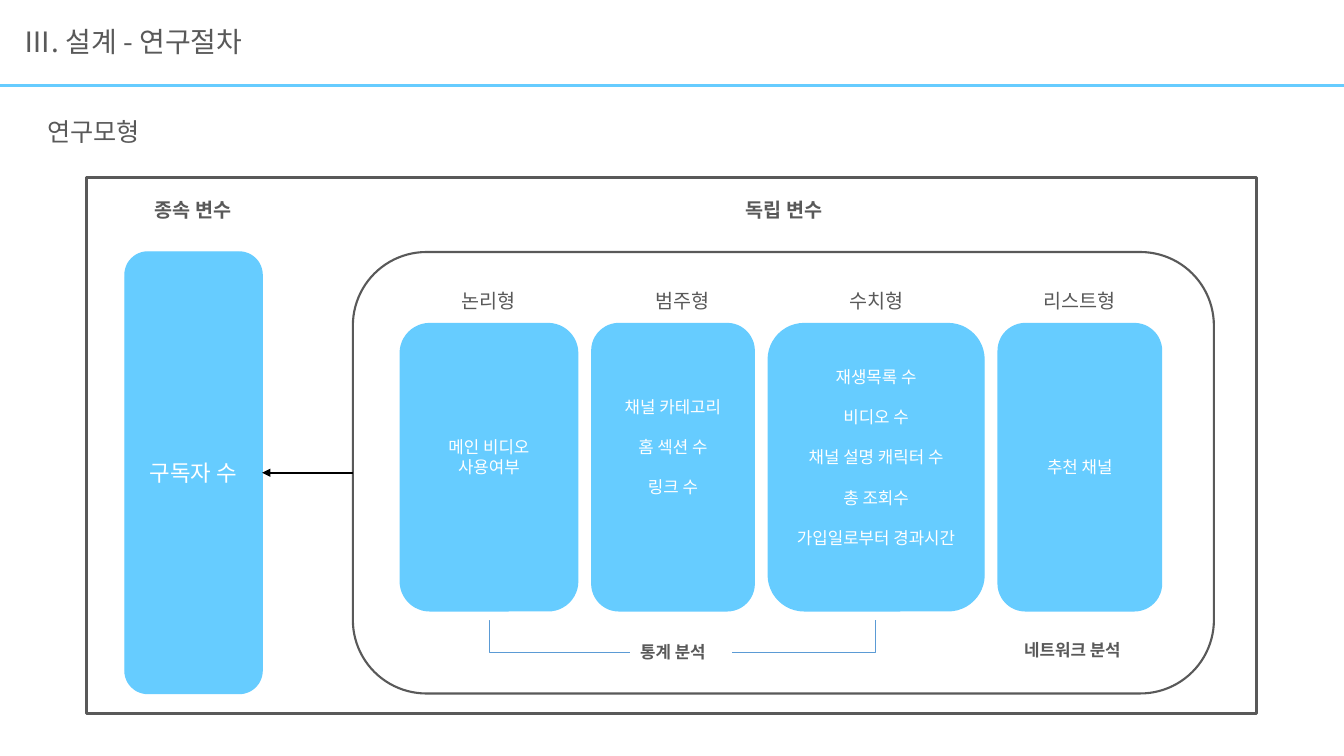
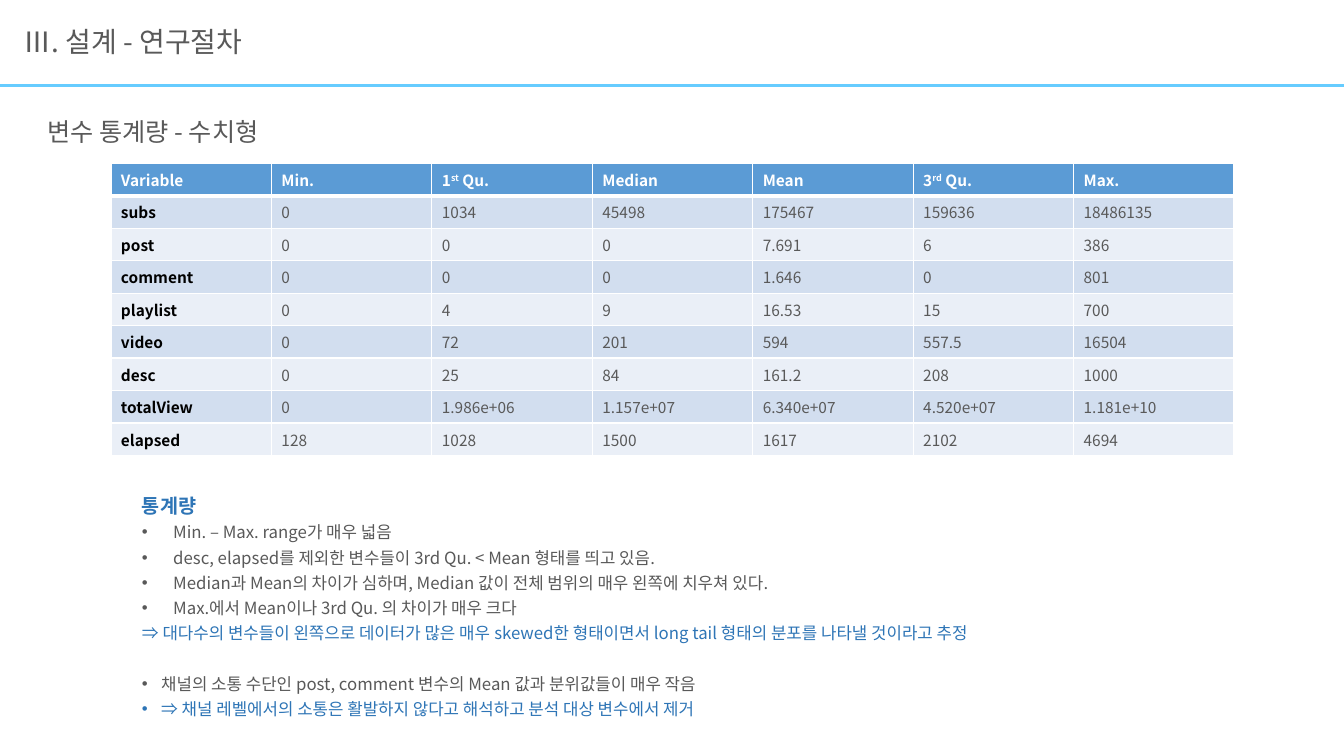
from lxml import etree
from pptx import Presentation
from pptx.dml.color import RGBColor
from pptx.enum.shapes import MSO_CONNECTOR, MSO_SHAPE
from pptx.enum.text import MSO_ANCHOR, PP_ALIGN
from pptx.oxml.ns import qn
from pptx.util import Inches, Pt

LEFT, CENTER = PP_ALIGN.LEFT, PP_ALIGN.CENTER
TOP, MIDDLE = MSO_ANCHOR.TOP, MSO_ANCHOR.MIDDLE
RECT, ROUND = MSO_SHAPE.RECTANGLE, MSO_SHAPE.ROUNDED_RECTANGLE
STRAIGHT, ELBOW = MSO_CONNECTOR.STRAIGHT, MSO_CONNECTOR.ELBOW

FONT = "Noto Sans CJK KR"
GRAY = RGBColor(0x59, 0x59, 0x59)
SKY = RGBColor(0x66, 0xCC, 0xFF)
BLUE = RGBColor(0x5B, 0x9B, 0xD5)
NAVY = RGBColor(0x2E, 0x75, 0xB6)
DARK = RGBColor(0xD2, 0xDE, 0xEF)
PALE = RGBColor(0xEA, 0xEF, 0xF7)
WHITE = RGBColor(0xFF, 0xFF, 0xFF)
BLACK = RGBColor(0, 0, 0)

WIDTH, HEIGHT = 13.33, 7.5
TITLE = "Ⅲ. 설계 - 연구절차"

# label, label centre, box width, lines, extra bottom inset
TYPES = [
    ("논리형", 4.85, 1.76, ["메인 비디오 사용여부"], 0.2),
    ("범주형", 6.77, 1.61, ["채널 카테고리", "홈 섹션 수", "링크 수"], 0.4),
    ("수치형", 8.69, 2.14, ["재생목록 수", "비디오 수", "채널 설명 캐릭터 수",
                         "총 조회수", "가입일로부터 경과시간"], 0.2),
    ("리스트형", 10.71, 1.62, ["추천 채널"], 0),
]

STATS = [
    ["Variable", "Min.", "1^st^ Qu.", "Median", "Mean", "3^rd^ Qu.", "Max."],
    ["subs", "0", "1034", "45498", "175467", "159636", "18486135"],
    ["post", "0", "0", "0", "7.691", "6", "386"],
    ["comment", "0", "0", "0", "1.646", "0", "801"],
    ["playlist", "0", "4", "9", "16.53", "15", "700"],
    ["video", "0", "72", "201", "594", "557.5", "16504"],
    ["desc", "0", "25", "84", "161.2", "208", "1000"],
    ["totalView", "0", "1.986e+06", "1.157e+07", "6.340e+07", "4.520e+07",
     "1.181e+10"],
    ["elapsed", "128", "1028", "1500", "1617", "2102", "4694"],
]

NOTES = [
    ("통계량", dict(size=14, color=NAVY, bold=True)),
    ("Min. – Max. range가 매우 넓음", dict(bullet=0.31)),
    ("desc, elapsed를 제외한 변수들이 3rd Qu. < Mean 형태를 띄고 있음.",
     dict(bullet=0.31)),
    ("Median과 Mean의 차이가 심하며, Median 값이 전체 범위의 매우 왼쪽에 "
     "치우쳐 있다.", dict(bullet=0.31)),
    ("Max.에서 Mean이나 3rd Qu. 의 차이가 매우 크다", dict(bullet=0.31)),
    ("⇒ 대다수의 변수들이 왼쪽으로 데이터가 많은 매우 skewed한 형태이면서 "
     "long tail 형태의 분포를 나타낼 것이라고 추정", dict(color=NAVY)),
    ("채널의 소통 수단인 post, comment 변수의 Mean 값과 분위값들이 매우 작음",
     dict(bullet=0.19, before=18)),
    ("⇒ 채널 레벨에서의 소통은 활발하지 않다고 해석하고 분석 대상 변수에서 제거",
     dict(bullet=0.19, color=NAVY)),
]


def write(para, text, size=12, color=GRAY, bold=False, align=LEFT,
          before=0, line=None, bullet=0):
    """Fill a paragraph; text between carets is superscript."""
    para.alignment = align
    para.space_before = Pt(before)
    if line:
        para.line_spacing = line
    if bullet:
        props = para._p.get_or_add_pPr()
        props.set("marL", str(Inches(bullet)))
        props.set("indent", str(-Inches(bullet)))
        etree.SubElement(props, qn("a:buFont")).set("typeface", "Arial")
        etree.SubElement(props, qn("a:buChar")).set("char", "•")
    for i, part in enumerate(text.split("^")):
        run = para.add_run()
        run.text = part
        font = run.font
        font.size, font.bold, font.name = Pt(size), bold, FONT
        font.color.rgb = color
        props = run._r.get_or_add_rPr()
        etree.SubElement(props, qn("a:ea")).set("typeface", FONT)
        if i % 2:
            props.set("baseline", "30000")


def edge(cell, side, width):
    """Draw one white cell border; call before the cell is filled."""
    line = etree.SubElement(cell._tc.get_or_add_tcPr(), qn("a:ln" + side))
    line.set("w", str(Pt(width)))
    fill = etree.SubElement(line, qn("a:solidFill"))
    etree.SubElement(fill, qn("a:srgbClr")).set("val", str(WHITE))


class Deck:
    def __init__(self):
        self.prs = Presentation()
        self.prs.slide_width = Inches(WIDTH)
        self.prs.slide_height = Inches(HEIGHT)
        self.slide = None

    def page(self, head):
        """Start a slide with the shared title, rule and a heading."""
        self.slide = self.prs.slides.add_slide(self.prs.slide_layouts[5])
        title = self.slide.shapes.title
        title.left, title.top = Inches(0.13), Inches(0.1)
        title.width, title.height = Inches(3.26), Inches(0.66)
        title.text_frame.vertical_anchor = MIDDLE
        write(title.text_frame.paragraphs[0], TITLE, size=20, line=0.9)
        self.line(0, 0.85, WIDTH, 0.85, SKY, 2)
        self.text(0.37, 1.1, 3.26, 0.4, head, size=18)

    def lines(self, frame, items, **style):
        """Write (text, format) pairs, one paragraph each."""
        frame.word_wrap = True
        for i, (text, own) in enumerate(items):
            para = frame.add_paragraph() if i else frame.paragraphs[0]
            write(para, text, **{**style, **own})

    def text(self, x, y, w, h, items, **style):
        box = self.slide.shapes.add_textbox(
            Inches(x), Inches(y), Inches(w), Inches(h))
        box.text_frame.vertical_anchor = TOP
        if isinstance(items, str):
            items = [(items, {})]
        self.lines(box.text_frame, items, **style)

    def shape(self, kind, x, y, w, h, fill=None, line=GRAY, weight=1.0):
        shape = self.slide.shapes.add_shape(
            kind, Inches(x), Inches(y), Inches(w), Inches(h))
        shape.shadow.inherit = False
        if fill is None:
            shape.fill.background()
        else:
            shape.fill.solid()
            shape.fill.fore_color.rgb = fill
        shape.line.color.rgb = line
        shape.line.width = Pt(weight)
        return shape

    def card(self, x, y, w, h, texts, size=12, lift=0):
        """Sky box with white lines; lift raises them by extra inset."""
        card = self.shape(ROUND, x, y, w, h, fill=SKY, line=SKY)
        frame = card.text_frame
        frame.vertical_anchor = MIDDLE
        frame.margin_bottom = Inches(0.05 + lift)
        items = [(t, dict(before=14.4 if i else 0))
                 for i, t in enumerate(texts)]
        self.lines(frame, items, size=size, color=WHITE, align=CENTER)
        return card

    def line(self, x1, y1, x2, y2, color, weight, kind=STRAIGHT):
        line = self.slide.shapes.add_connector(
            kind, Inches(x1), Inches(y1), Inches(x2), Inches(y2))
        line.line.color.rgb = color
        line.line.width = Pt(weight)
        etree.SubElement(line._element.spPr, qn("a:effectLst"))
        return line

    def arrow(self, start, end):
        """Arrow from the left side of start to the right side of end."""
        line = self.line(0, 0, 1, 1, BLACK, 1.5)
        line.begin_connect(start, 1)
        line.end_connect(end, 3)
        tail = etree.SubElement(line.line._get_or_add_ln(), qn("a:tailEnd"))
        tail.set("type", "triangle")

    def hook(self, x1, y1, x2, y2):
        """Elbow that drops at x1, then runs level to x2."""
        line = self.line(x1, y1, x2, y2, BLUE, 0.5, ELBOW)
        geom = line._element.spPr.find(qn("a:prstGeom"))
        guides = geom.find(qn("a:avLst"))
        if guides is None:
            guides = etree.SubElement(geom, qn("a:avLst"))
        guide = etree.SubElement(guides, qn("a:gd"))
        guide.set("name", "adj1")
        guide.set("fmla", "val 500")

    def table(self, x, y, w, h, rows):
        table = self.slide.shapes.add_table(
            len(rows), len(rows[0]),
            Inches(x), Inches(y), Inches(w), Inches(h)).table
        for r, row in enumerate(rows):
            for c, text in enumerate(row):
                cell = table.cell(r, c)
                for side in "LRTB":
                    thick = (r == 0 and side == "B") or (r == 1 and side == "T")
                    edge(cell, side, 3 if thick else 1)
                cell.fill.solid()
                cell.fill.fore_color.rgb = (
                    BLUE if r == 0 else DARK if r % 2 else PALE)
                color = WHITE if r == 0 else GRAY if c else BLACK
                write(cell.text_frame.paragraphs[0], text, size=11,
                      color=color, bold=r == 0 or c == 0)


def model(deck):
    deck.page("연구모형")
    deck.shape(RECT, 0.86, 1.76, 11.6, 5.32, weight=2)
    for x, w, text in [(1.2, 1.43, "종속 변수"), (6.64, 2.27, "독립 변수")]:
        deck.text(x, 1.91, w, 0.34, text, size=14, bold=True, align=CENTER)
    frame = deck.shape(ROUND, 3.5, 2.5, 8.54, 4.38, weight=1.5)
    subs = deck.card(1.24, 2.5, 1.36, 4.38, ["구독자 수"], size=16)
    deck.arrow(frame, subs)

    x, gap, wide = 3.97, 0.14, 1.3
    for label, mid, w, texts, lift in TYPES:
        deck.card(x, 3.21, w, 2.85, texts, lift=lift)
        deck.text(mid - wide / 2, 2.82, wide, 0.34, label,
                  size=14, align=CENTER)
        x += w + gap

    deck.text(6.25, 6.32, 1.01, 0.3, "통계 분석", bold=True)
    deck.text(10.06, 6.3, 1.32, 0.3, "네트워크 분석", bold=True)
    for x1, x2 in [(4.85, 6.25), (8.69, 7.26)]:
        deck.hook(x1, 6.15, x2, 6.47)


def stats(deck):
    deck.page("변수 통계량 - 수치형")
    deck.table(1.1, 1.62, 11.14, 2.9, STATS)
    deck.text(1.31, 4.83, 10.71, 2.37, NOTES, line=Pt(18))


def main():
    deck = Deck()
    model(deck)
    stats(deck)
    deck.prs.save("out.pptx")


if __name__ == "__main__":
    main()
